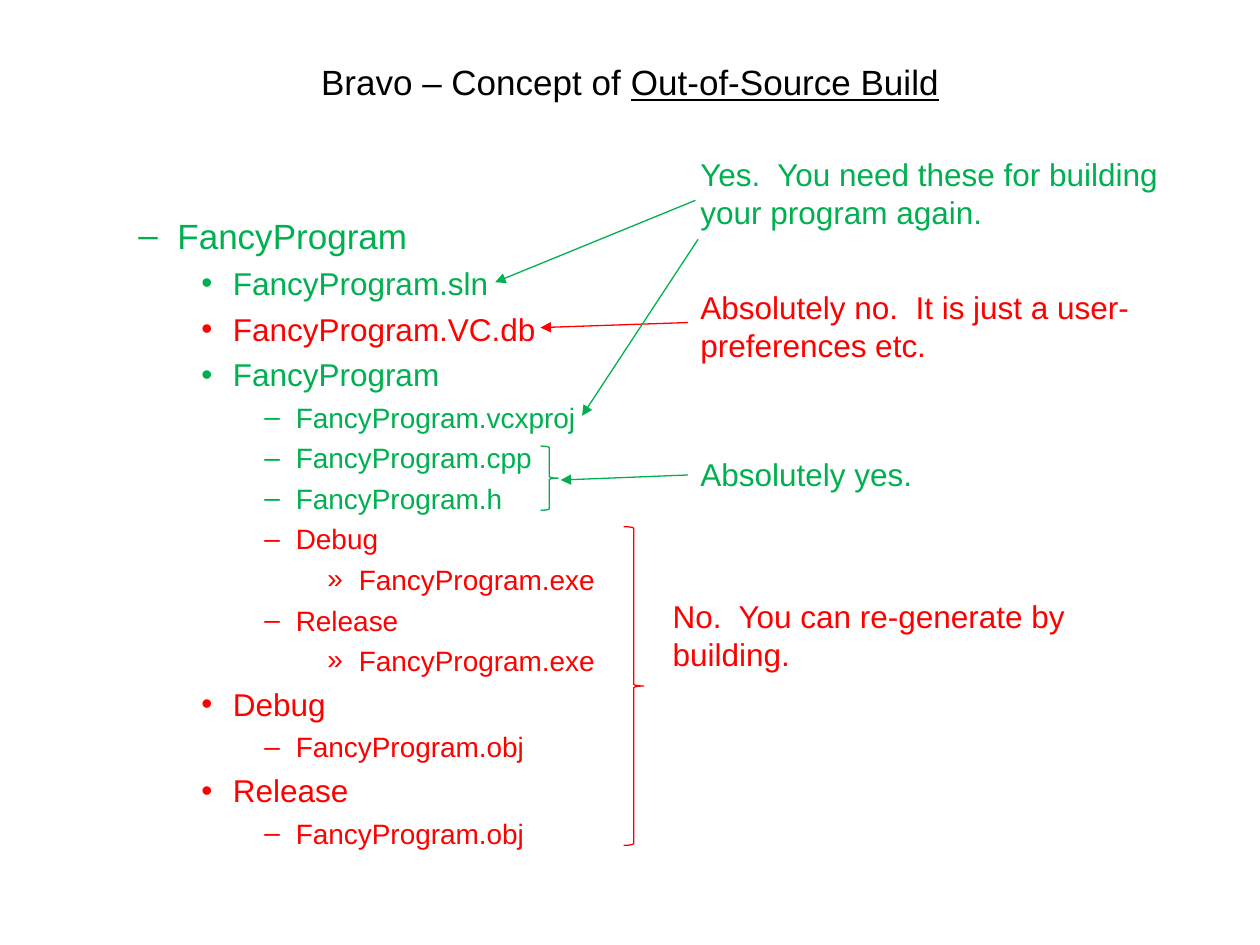
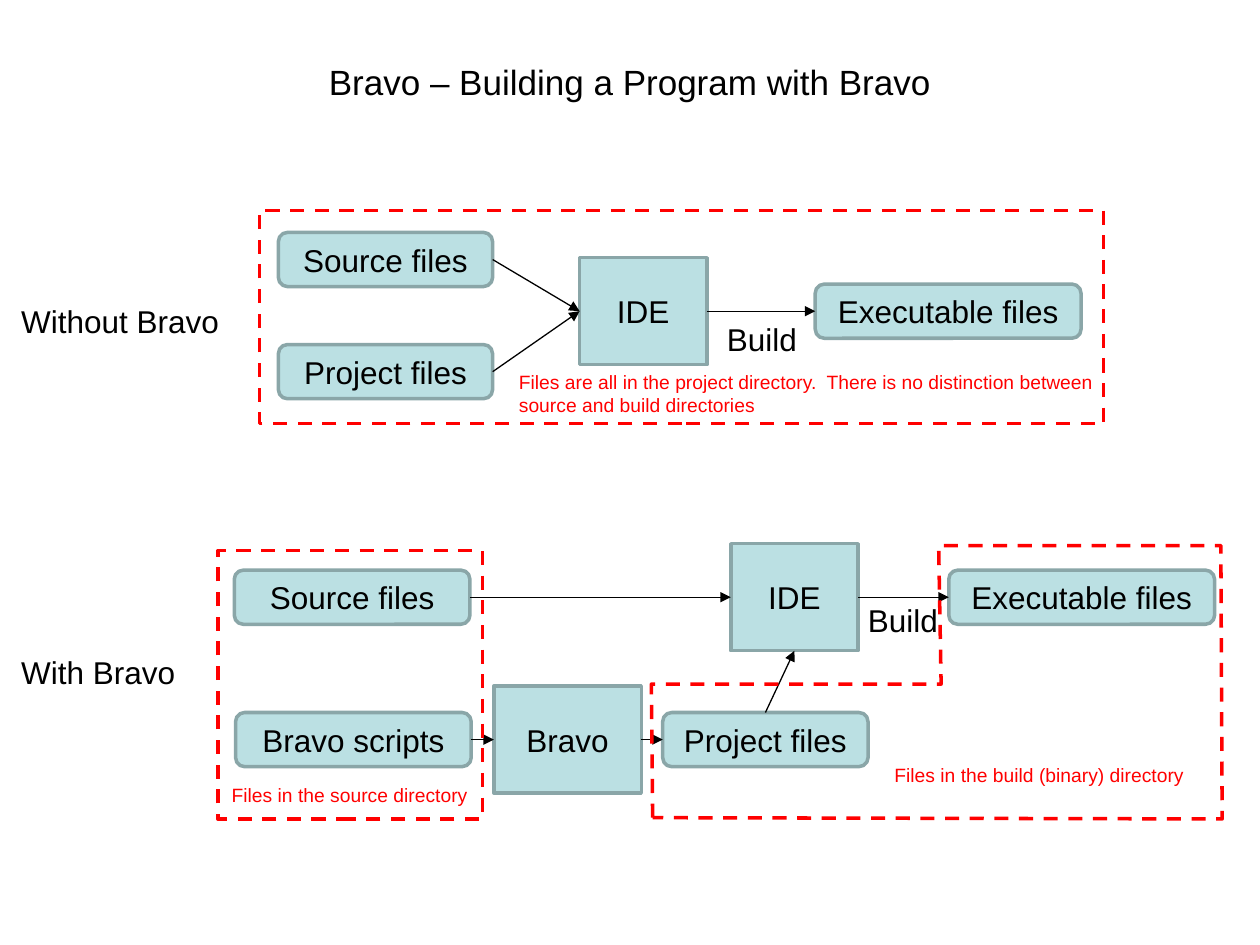
from pptx import Presentation
from pptx.dml.color import RGBColor
from pptx.enum.dml import MSO_LINE
from pptx.enum.shapes import MSO_CONNECTOR, MSO_SHAPE
from pptx.enum.text import MSO_ANCHOR, PP_ALIGN
from pptx.oxml.ns import qn
from pptx.util import Inches, Pt
from lxml.etree import SubElement

FONT = "Arial"
COLORS = {"ink": "000000", "yes": "00B050", "no": "FF0000",
          "box": "BBE0E3", "edge": "8AA6A8"}
TOOL = "Bravo"

# Slide 1: (level, text, colour)
TREE = [
    (1, "FancyProgram", "yes"),
    (2, "FancyProgram.sln", "yes"),
    (2, "FancyProgram.VC.db", "no"),
    (2, "FancyProgram", "yes"),
    (3, "FancyProgram.vcxproj", "yes"),
    (3, "FancyProgram.cpp", "yes"),
    (3, "FancyProgram.h", "yes"),
    (3, "Debug", "no"),
    (4, "FancyProgram.exe", "no"),
    (3, "Release", "no"),
    (4, "FancyProgram.exe", "no"),
    (2, "Debug", "no"),
    (3, "FancyProgram.obj", "no"),
    (2, "Release", "no"),
    (3, "FancyProgram.obj", "no"),
]
# level: (size, bullet, left margin, hanging indent)
LEVELS = {1: (20, "–", 0.81, 0.31), 2: (18, "•", 1.25, 0.25),
          3: (16, "–", 1.75, 0.25), 4: (16, "»", 2.25, 0.25)}
# (text, place, colour)
NOTES = [
    ("No.  You can re-generate by building.", (5.24, 4.69, 4.07, 0.71), "no"),
    ("Absolutely no.  It is just a user-preferences etc.",
     (5.46, 2.24, 4.27, 0.71), "no"),
    ("Yes.  You need these for building your program again.",
     (5.46, 1.18, 4.27, 0.71), "yes"),
    ("Absolutely yes.", (5.46, 3.56, 4.27, 0.4), "yes"),
]
BRACES = [((4.95, 4.18, 0.16, 2.53), "no"), ((4.29, 3.54, 0.14, 0.51), "yes")]
# (start, end, colour)
POINTERS = [
    ((5.46, 2.56), (4.29, 2.6), "no"),
    ((5.52, 1.59), (3.93, 2.24), "yes"),
    ((5.54, 1.9), (4.62, 3.3), "yes"),
    ((5.46, 3.77), (4.45, 3.81), "yes"),
]

# Slide 2: each flow has boxes (key: text, left, middle, width) and
# links (from, side, to, side)
FLOWS = [
    {"boxes": {"source": ("Source files", 2.21, 2.06, 1.7),
               "project": ("Project files", 2.21, 2.95, 1.7),
               "ide": ("IDE", 4.6, 2.47, 1.01),
               "exe": ("Executable files", 6.47, 2.47, 2.11)},
     "links": [("source", "right", "ide", "left"),
               ("project", "right", "ide", "left"),
               ("ide", "right", "exe", "left")]},
    {"boxes": {"source": ("Source files", 1.86, 4.74, 1.87),
               "script": (f"{TOOL} scripts", 1.87, 5.87, 1.87),
               "tool": (TOOL, 3.92, 5.87, 1.17),
               "project": ("Project files", 5.26, 5.87, 1.63),
               "ide": ("IDE", 5.8, 4.74, 1.01),
               "exe": ("Executable files", 7.53, 4.74, 2.11)},
     "links": [("script", "right", "tool", "left"),
               ("tool", "right", "project", "left"),
               ("project", "top", "ide", "bottom"),
               ("source", "right", "ide", "left"),
               ("ide", "right", "exe", "left")]},
]
SQUARE = ("ide", "tool")
SIDES = {"top": 0, "left": 1, "bottom": 2, "right": 3}
# (text, place, size, colour, wrap)
LABELS = [
    (f"Without {TOOL}", (0.07, 2.35, 1.93, 0.4), 18, "ink", True),
    (f"With {TOOL}", (0.07, 5.13, 1.58, 0.4), 18, "ink", True),
    ("Build", (5.67, 2.49, 0.76, 0.4), 18, "ink", False),
    ("Build", (6.79, 4.72, 0.76, 0.4), 18, "ink", False),
    ("Files in the source directory",
     (1.74, 6.17, 2.09, 0.29), 11, "no", False),
    ("Files in the build (binary) directory",
     (7, 6.01, 2.52, 0.29), 11, "no", False),
    ("Files are all in the project directory.  There is no distinction "
     "between source and build directories",
     (4.02, 2.89, 4.8, 0.47), 11, "no", True),
]
FRAMES = [(1.73, 4.37, 2.1, 2.13), (2.06, 1.67, 6.7, 1.69)]
BUILD_AREA = [(5.18, 6.49), (5.17, 5.43), (7.47, 5.43), (7.45, 4.33),
              (9.69, 4.33), (9.7, 6.5)]


def color(name):
    """Look up a colour."""
    return RGBColor.from_string(COLORS[name])


def inches(*vals):
    """Turn numbers into lengths."""
    return [Inches(v) for v in vals]


def style(para, size, name):
    """Set the font of a paragraph."""
    font = para.font
    font.name, font.size = FONT, Pt(size)
    font.color.rgb = color(name)


def add_text(slide, text, place, size=18, name="ink", wrap=True):
    """Add a text box and return its frame."""
    frame = slide.shapes.add_textbox(*inches(*place)).text_frame
    frame.word_wrap = wrap
    frame.text = text
    style(frame.paragraphs[0], size, name)
    return frame


def add_title(slide, text, under=""):
    """Add the centred title, with an underlined ending."""
    frame = add_text(slide, f"{TOOL} – {text}", (0.5, 0.3, 9, 0.7), 20)
    frame.vertical_anchor = MSO_ANCHOR.MIDDLE
    para = frame.paragraphs[0]
    para.alignment = PP_ALIGN.CENTER
    if under:
        run = para.add_run()
        run.text = under
        run.font.underline = True


def outline(shape, name, width, dash=False):
    """Give a shape a line only."""
    shape.shadow.inherit = False
    shape.fill.background()
    shape.line.color.rgb = color(name)
    shape.line.width = Pt(width)
    if dash:
        shape.line.dash_style = MSO_LINE.DASH


def add_arrow(slide, start, end, name="ink"):
    """Add a thin arrow between two points."""
    line = slide.shapes.add_connector(
        MSO_CONNECTOR.STRAIGHT, *inches(*start, *end))
    line.line.color.rgb = color(name)
    line.line.width = Pt(0.75)
    props = line._element.spPr
    SubElement(props.find(qn("a:ln")), qn("a:tailEnd"), type="triangle")
    SubElement(props, qn("a:effectLst"))
    return line


def add_tree(slide):
    """Add the bulleted file tree."""
    frame = slide.shapes.add_textbox(*inches(0.5, 1.65, 9, 5.05)).text_frame
    frame.word_wrap = True
    for i, (level, text, name) in enumerate(TREE):
        para = frame.add_paragraph() if i else frame.paragraphs[0]
        size, mark, left, hang = LEVELS[level]
        para.text, para.level = text, level
        para.space_before = Pt(size / 4 if i else 0)
        style(para, size, name)
        props = para._p.get_or_add_pPr()
        props.set("marL", str(Inches(left)))
        props.set("indent", str(-Inches(hang)))
        face = SubElement(props, qn("a:buFont"), typeface=FONT)
        bullet = SubElement(props, qn("a:buChar"), char=mark)
        for part in (face, bullet):
            props.find(qn("a:defRPr")).addprevious(part)


def add_box(slide, key, text, left, mid, width):
    """Add a file box, or a taller square one for a tool."""
    square = key in SQUARE
    high = 0.85 if square else 0.43
    kind = MSO_SHAPE.RECTANGLE if square else MSO_SHAPE.ROUNDED_RECTANGLE
    box = slide.shapes.add_shape(
        kind, *inches(left, mid - high / 2, width, high))
    outline(box, "edge", 2)
    box.fill.solid()
    box.fill.fore_color.rgb = color("box")
    frame = box.text_frame
    frame.text = text
    frame.word_wrap = True
    frame.vertical_anchor = MSO_ANCHOR.MIDDLE
    frame.paragraphs[0].alignment = PP_ALIGN.CENTER
    style(frame.paragraphs[0], 18, "ink")
    return box


def add_flow(slide, flow):
    """Add the boxes of a flow and join them."""
    boxes = {key: add_box(slide, key, *vals)
             for key, vals in flow["boxes"].items()}
    for first, out, last, into in flow["links"]:
        line = add_arrow(slide, (0, 0), (1, 1))
        line.begin_connect(boxes[first], SIDES[out])
        line.end_connect(boxes[last], SIDES[into])


def concept(slide):
    """Fill the slide about what to keep."""
    add_title(slide, "Concept of ", "Out-of-Source Build")
    add_tree(slide)
    for place, name in BRACES:
        brace = slide.shapes.add_shape(MSO_SHAPE.RIGHT_BRACE, *inches(*place))
        outline(brace, name, 0.75)
    for text, place, name in NOTES:
        add_text(slide, text, place, name=name)
    for pointer in POINTERS:
        add_arrow(slide, *pointer)


def building(slide):
    """Fill the slide that compares the two flows."""
    add_title(slide, f"Building a Program with {TOOL}")
    for flow in FLOWS:
        add_flow(slide, flow)
    points = [inches(*point) for point in BUILD_AREA]
    edge = slide.shapes.build_freeform(*points[0])
    edge.add_line_segments(points[1:], close=True)
    areas = [edge.convert_to_shape()]
    areas += [slide.shapes.add_shape(MSO_SHAPE.RECTANGLE, *inches(*place))
              for place in FRAMES]
    for area in areas:
        outline(area, "no", 2, dash=True)
    for label in LABELS:
        add_text(slide, *label)


deck = Presentation()
deck.slide_width, deck.slide_height = inches(10, 7.5)
for fill in (concept, building):
    fill(deck.slides.add_slide(deck.slide_layouts[6]))
deck.save("out.pptx")
